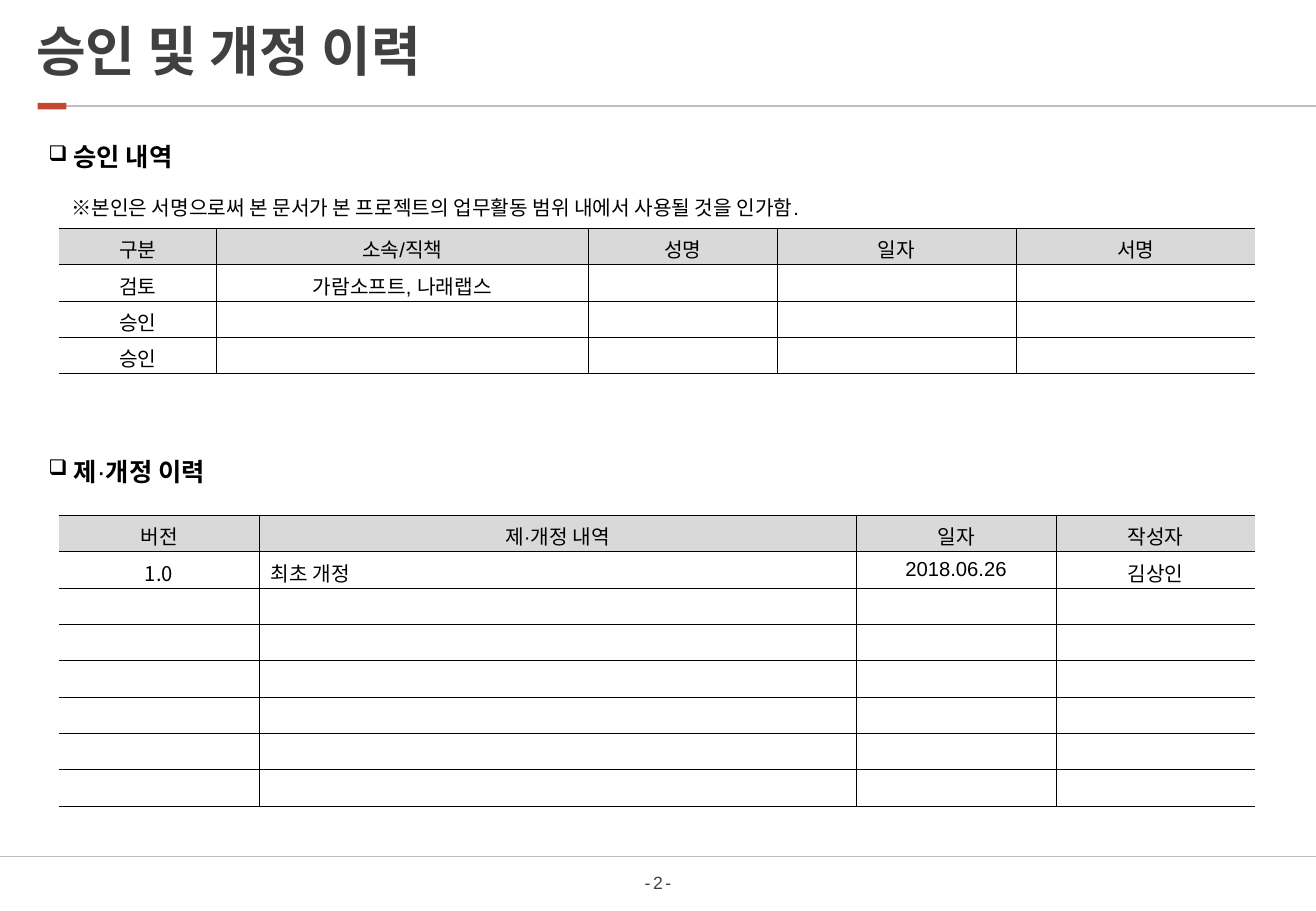
from lxml.etree import SubElement
from pptx import Presentation
from pptx.dml.color import RGBColor
from pptx.enum.shapes import MSO_CONNECTOR as Connector, MSO_SHAPE as Shape
from pptx.enum.text import MSO_ANCHOR as Anchor, PP_ALIGN as Align
from pptx.oxml.ns import qn
from pptx.util import Cm, Pt

COLORS = {"ink": "000000", "title": "404040", "rule": "BFBFBF",
          "accent": "C74630", "head": "D9D9D9"}
LATIN, KOREAN = "Arial", "Noto Sans CJK KR"
PAGE_WIDTH, PAGE_HEIGHT = 27.51, 19.05
ROW_HEIGHT = 0.76


def color(name):
    return RGBColor.from_string(COLORS[name])


def write(frame, runs, size=12, ink="ink", bold=False, font=LATIN, align=Align.LEFT,
          spacing=None, tracking=None, bullet=None, hanging=0.53):
    paragraph = frame.paragraphs[0]
    if bullet:
        props = paragraph._p.get_or_add_pPr()
        props.set("marL", str(Cm(hanging)))
        props.set("indent", str(-Cm(hanging)))
        SubElement(props, qn("a:buSzPct"), val="85000")
        SubElement(props, qn("a:buChar"), char=bullet)
    paragraph.alignment = align
    if spacing:
        paragraph.line_spacing = spacing
    if not runs:
        SubElement(paragraph._p, qn("a:endParaRPr"), sz=str(size * 100))
        return
    for content, changes in [(runs, {})] if isinstance(runs, str) else runs:
        run = paragraph.add_run()
        run.text = content
        run.font.size = Pt(changes.get("size", size))
        run.font.bold = changes.get("bold", bold)
        run.font.name = font
        run.font.color.rgb = color(ink)
        props = run._r.get_or_add_rPr()
        SubElement(props, qn("a:ea"), typeface=KOREAN)
        if tracking:
            props.set("spc", str(tracking))


def add_text(slide, left, top, width, height, runs, inset=(0.25, 0.13),
             anchor=Anchor.TOP, wrap=True, **style):
    frame = slide.shapes.add_textbox(Cm(left), Cm(top), Cm(width), Cm(height)).text_frame
    frame.word_wrap = wrap
    frame.vertical_anchor = anchor
    frame.margin_left = frame.margin_right = Cm(inset[0])
    frame.margin_top = frame.margin_bottom = Cm(inset[1])
    write(frame, runs, **style)


def add_rule(slide, left, right, y):
    rule = slide.shapes.add_connector(Connector.STRAIGHT, Cm(right), Cm(y), Cm(left), Cm(y))
    rule.line.color.rgb = color("rule")
    rule.line.width = Pt(0.75)
    SubElement(rule._element.spPr, qn("a:effectLst"))


def set_borders(cell, sides):
    props = cell._tc.get_or_add_tcPr()
    for side in "LRTB":
        line = SubElement(props, qn(f"a:ln{side}"), w=str(Pt(0.25)))
        if side in sides:
            fill = SubElement(line, qn("a:solidFill"))
            SubElement(fill, qn("a:srgbClr"), val=COLORS["ink"])
        else:
            SubElement(line, qn("a:noFill"))


def add_grid(slide, left, top, widths, rows, styles):
    table = slide.shapes.add_table(len(rows), len(widths), Cm(left), Cm(top),
                                   Cm(sum(widths)), Cm(ROW_HEIGHT * len(rows))).table
    table.horz_banding = False
    for column, width in zip(table.columns, widths):
        column.width = Cm(width)
    for r, row in enumerate(rows):
        table.rows[r].height = Cm(ROW_HEIGHT)
        for c in range(len(widths)):
            cell = table.cell(r, c)
            sides = "TB" + "L" * (c > 0) + "R" * (c < len(widths) - 1)
            set_borders(cell, sides)
            if r == 0:
                cell.fill.solid()
                cell.fill.fore_color.rgb = color("head")
            else:
                cell.fill.background()
            cell.margin_left = cell.margin_right = Cm(0.25)
            cell.margin_top, cell.margin_bottom = Cm(0.13), Cm(0)
            style = {"align": Align.CENTER, **styles.get((r, c), {})}
            write(cell.text_frame, row[c] if c < len(row) else "", **style)


def add_header(slide, left, top, title):
    add_text(slide, left, top, 9.17, 1.22, title, inset=(0, 0), anchor=Anchor.MIDDLE,
             wrap=False, size=32, ink="title", bold=True, spacing=0.9)
    add_rule(slide, left + 0.13, PAGE_WIDTH, top + 1.71)
    accent = slide.shapes.add_shape(Shape.RECTANGLE, Cm(left + 0.03), Cm(top + 1.64),
                                    Cm(0.6), Cm(0.14))
    accent.shadow.inherit = False
    accent.fill.solid()
    accent.fill.fore_color.rgb = color("accent")
    accent.line.fill.background()


def add_section(slide, left, top, heading, table_drop, widths, rows, note=None, styles={}):
    add_text(slide, left, top, 25.48, 0.9, heading, size=15, bold=True, bullet="❑")
    if note:
        add_text(slide, left + 0.48, top + 1.14, 25, 0.76, note)
    add_grid(slide, left + 0.48, top + table_drop, widths, rows, styles)


def add_footer(slide, top, page):
    add_rule(slide, 0, PAGE_WIDTH, top)
    add_text(slide, PAGE_WIDTH / 2 - 0.7, top + 0.18, 1.4, 0.74, page, anchor=Anchor.MIDDLE,
             wrap=False, size=10.5, ink="title", align=Align.CENTER, tracking=-70)


def main():
    deck = Presentation()
    deck.slide_width, deck.slide_height = Cm(PAGE_WIDTH), Cm(PAGE_HEIGHT)
    slide = deck.slides.add_slide(deck.slide_layouts[6])

    add_header(slide, 0.76, 0.51, "승인 및 개정 이력")
    add_section(
        slide, 0.76, 2.82, "승인 내역", 1.95, [3.28, 7.78, 3.94, 5, 5],
        [["구분", "소속/직책", "성명", "일자", "서명"],
         ["검토", "가람소프트, 나래랩스"], ["승인"], ["승인"]],
        note="※본인은 서명으로써 본 문서가 본 프로젝트의 업무활동 범위 내에서 사용될 것을 인가함.")
    add_section(
        slide, 0.76, 9.37, [("제", {}), ("·", {"size": 16, "bold": False}), ("개정 이력", {})],
        1.4, [4.17, 12.49, 4.17, 4.17],
        [["버전", "제·개정 내역", "일자", "작성자"],
         ["1.0", "최초 개정", "2018.06.26", "김상인"]] + [[]] * 6,
        styles={(1, 0): {"font": KOREAN}, (1, 1): {"align": Align.LEFT}})
    add_footer(slide, 17.91, "- 2 -")
    deck.save("out.pptx")


if __name__ == "__main__":
    main()
